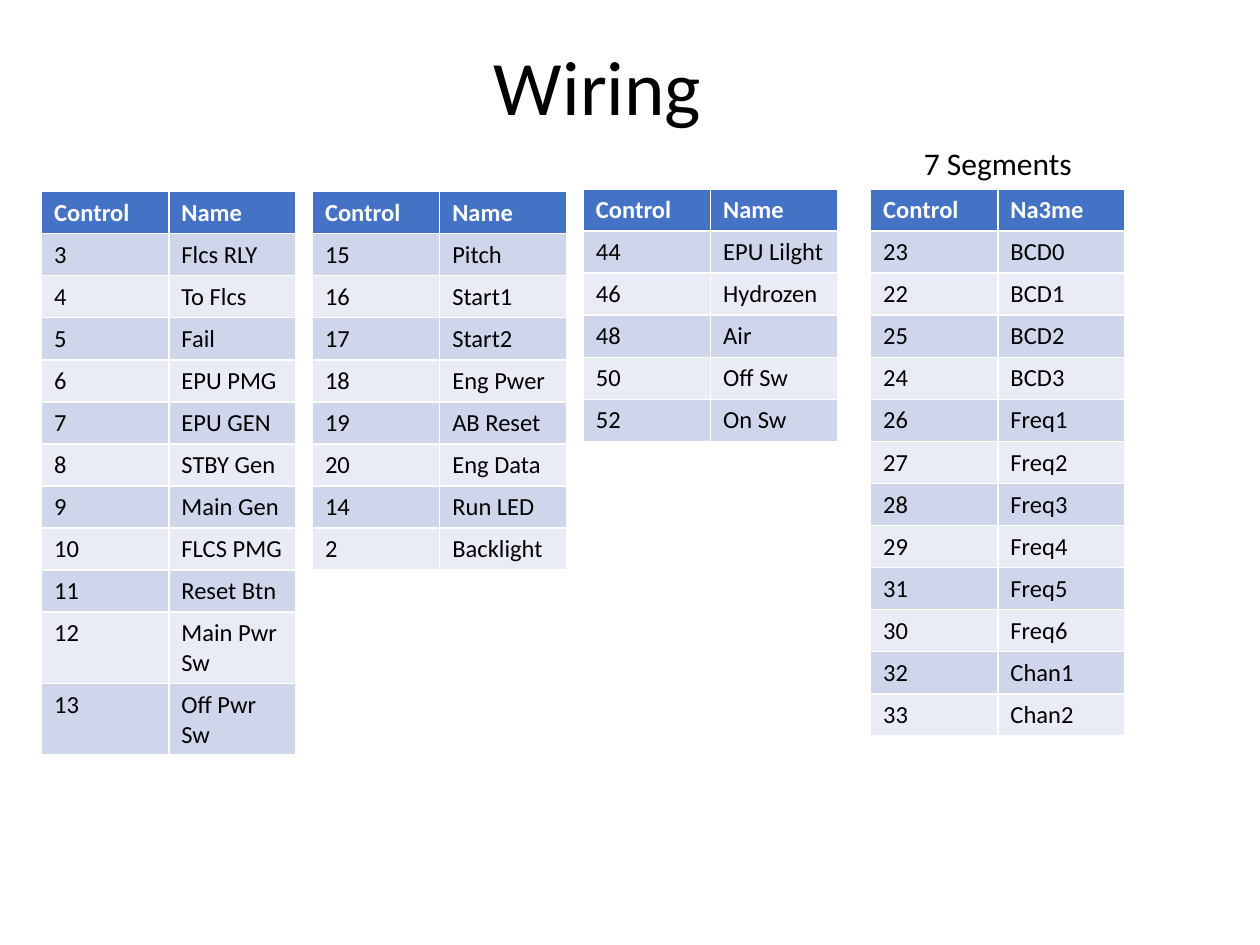
from pptx import Presentation
from pptx.dml.color import RGBColor
from pptx.enum.text import MSO_ANCHOR, PP_ALIGN
from pptx.util import Inches, Pt

CENTER = PP_ALIGN.CENTER
MIDDLE = MSO_ANCHOR.MIDDLE

FONT = "Calibri"
BLACK, WHITE, HEADER = "000000", "FFFFFF", "4472C4"
BANDS = ("CFD5EA", "E9EBF5")
COL_W, ROW_H = 1.01, 0.29

TEXTS = [
    ("Wiring\t", 44, (0.61, 0.22, 8.62, 0.99)),
    ("7 Segments", 18, (7.07, 1.12, 1.7, 0.38)),
]

TABLES = [
    (0.33, 1.52, [
        ("Control", "Name"), ("3", "Flcs RLY"), ("4", "To Flcs"),
        ("5", "Fail"), ("6", "EPU PMG"), ("7", "EPU GEN"),
        ("8", "STBY Gen"), ("9", "Main Gen"), ("10", "FLCS PMG"),
        ("11", "Reset Btn"), ("12", "Main Pwr Sw"), ("13", "Off Pwr Sw"),
    ]),
    (2.48, 1.52, [
        ("Control", "Name"), ("15", "Pitch"), ("16", "Start1"),
        ("17", "Start2"), ("18", "Eng Pwer"), ("19", "AB Reset"),
        ("20", "Eng Data"), ("14", "Run LED"), ("2", "Backlight"),
    ]),
    (4.63, 1.5, [
        ("Control", "Name"), ("44", "EPU Lilght"), ("46", "Hydrozen"),
        ("48", "Air"), ("50", "Off Sw"), ("52", "On Sw"),
    ]),
    (6.91, 1.5, [
        ("Control", "Na3me"), ("23", "BCD0"), ("22", "BCD1"),
        ("25", "BCD2"), ("24", "BCD3"), ("26", "Freq1"),
        ("27", "Freq2"), ("28", "Freq3"), ("29", "Freq4"),
        ("31", "Freq5"), ("30", "Freq6"), ("32", "Chan1"), ("33", "Chan2"),
    ]),
]


def rgb(value):
    return RGBColor.from_string(value)


def add_run(p, text, size, color, bold=False):
    r = p.add_run()
    r.text = text
    r.font.name = FONT
    r.font.size = Pt(size)
    r.font.bold = bold
    r.font.color.rgb = rgb(color)


def add_text(s, text, size, box):
    tf = s.shapes.add_textbox(*map(Inches, box)).text_frame
    tf.word_wrap = True
    tf.vertical_anchor = MIDDLE
    p = tf.paragraphs[0]
    p.alignment = CENTER
    p.line_spacing = 0.9
    add_run(p, text, size, BLACK)


def add_pin_table(s, left, top, rows):
    cols = len(rows[0])
    size = (cols * COL_W, len(rows) * ROW_H)
    table = s.shapes.add_table(
        len(rows), cols, *map(Inches, (left, top, *size))).table
    for col in table.columns:
        col.width = Inches(COL_W)
    for i, row in enumerate(rows):
        table.rows[i].height = Inches(ROW_H)
        is_header = i == 0
        for j, text in enumerate(row):
            cell = table.cell(i, j)
            cell.fill.solid()
            cell.fill.fore_color.rgb = rgb(
                HEADER if is_header else BANDS[(i - 1) % 2])
            add_run(cell.text_frame.paragraphs[0], text, 14,
                    WHITE if is_header else BLACK, is_header)


def main():
    prs = Presentation()
    prs.slide_width, prs.slide_height = Inches(10), Inches(7.5)
    s = prs.slides.add_slide(prs.slide_layouts[6])
    for text in TEXTS:
        add_text(s, *text)
    for table in TABLES:
        add_pin_table(s, *table)
    prs.save("out.pptx")


if __name__ == "__main__":
    main()
